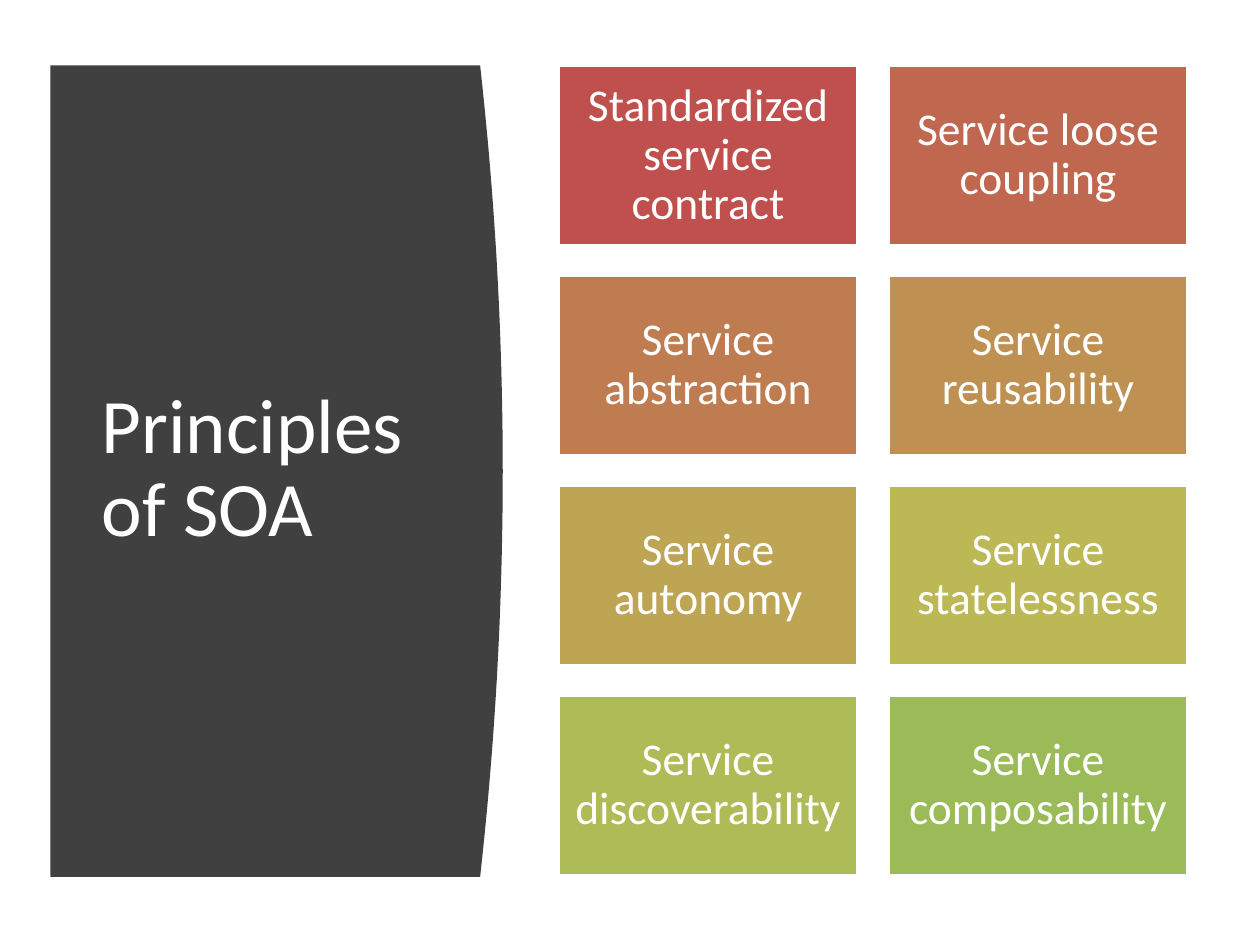
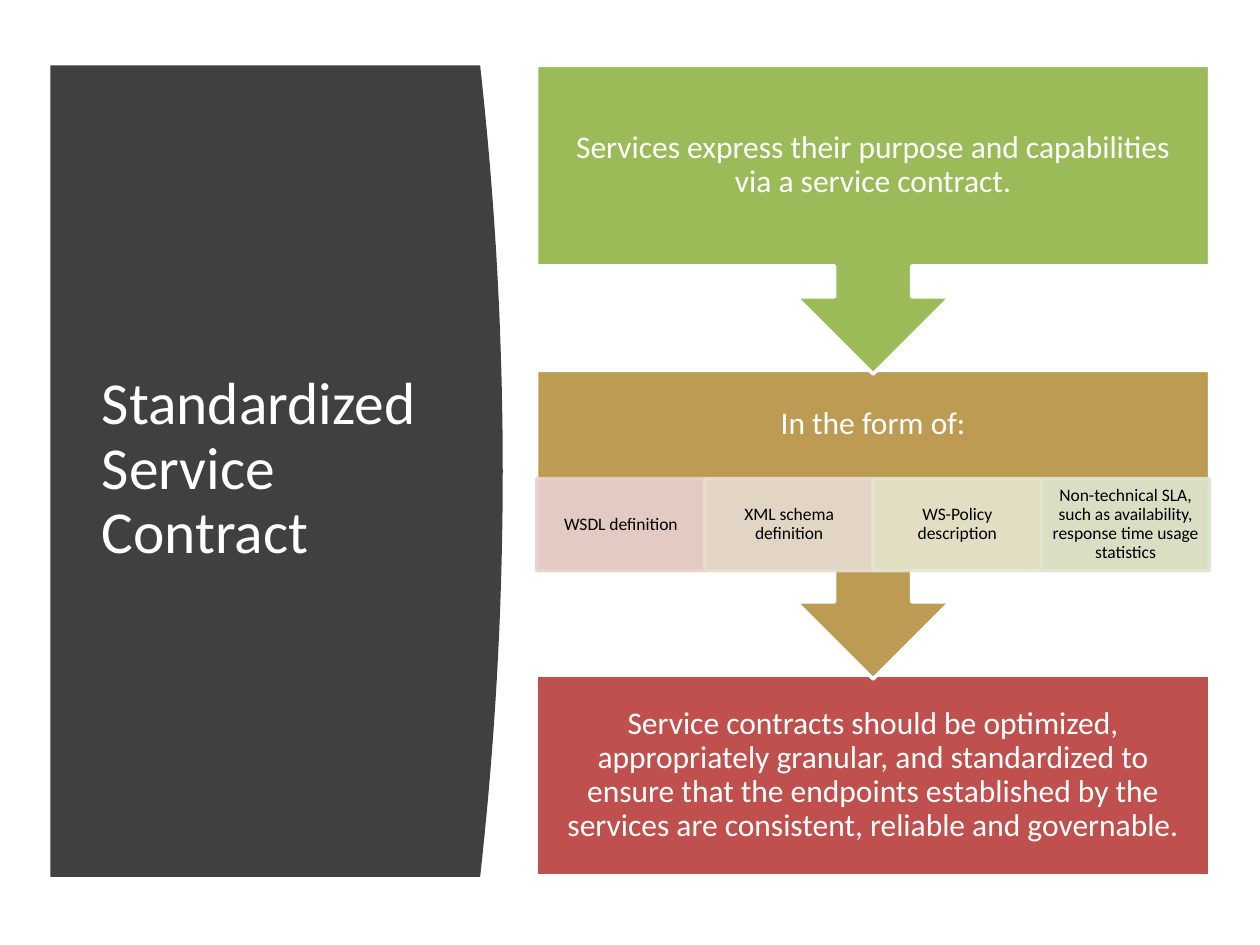
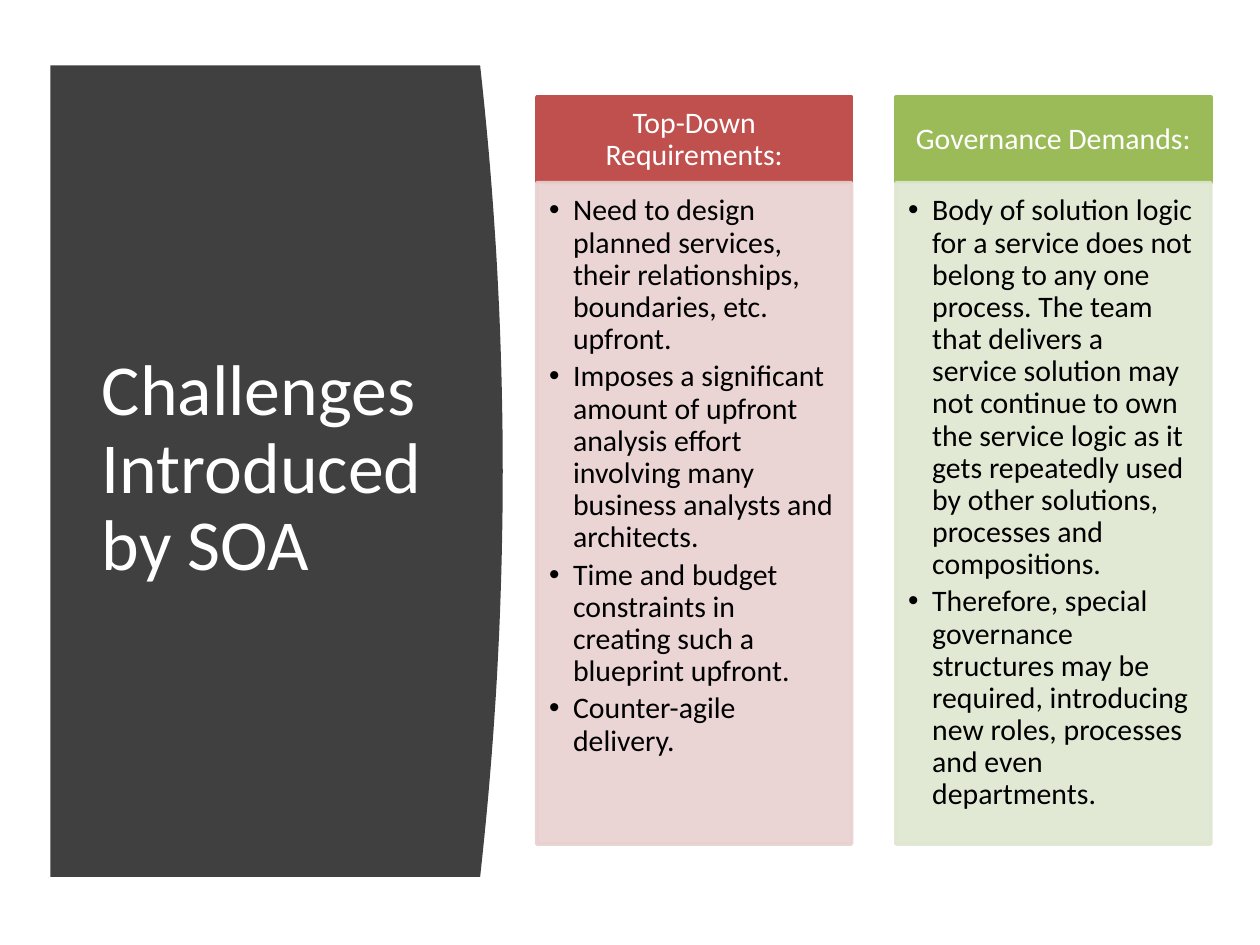
from dataclasses import dataclass

from lxml.etree import SubElement
from pptx import Presentation
from pptx.dml.color import RGBColor
from pptx.enum.shapes import MSO_SHAPE
from pptx.enum.text import MSO_ANCHOR, PP_ALIGN
from pptx.oxml.ns import qn
from pptx.util import Inches, Pt

FONT = "Calibri"
COLORS = {
    "white": "FFFFFF",
    "black": "000000",
    "panel": "404040",
    "red": "C0504D",
    "rust": "BF674F",
    "copper": "BF7C50",
    "bronze": "BE9152",
    "gold": "BD9B53",
    "sand": "BDA554",
    "olive": "BCB856",
    "lime": "AEBC57",
    "green": "9BBB59",
    "pale red": "E8D0D0",
    "pale copper": "E8DCD0",
    "pale olive": "E7E6D1",
    "pale green": "DEE7D1",
}
PALE_OPACITY = 90
PRINCIPLES = [
    ("Standardized service contract", "red"),
    ("Service loose coupling", "rust"),
    ("Service abstraction", "copper"),
    ("Service reusability", "bronze"),
    ("Service autonomy", "sand"),
    ("Service statelessness", "olive"),
    ("Service discoverability", "lime"),
    ("Service composability", "green"),
]
CONTRACT_FORMS = [
    ("WSDL definition", "pale red"),
    ("XML schema definition", "pale copper"),
    ("WS-Policy description", "pale olive"),
    ("Non-technical SLA, such as availability, response time usage statistics", "pale green"),
]
CHALLENGES = [
    ("Top-Down Requirements:", "red", "pale red", [
        "Need to design planned services, their relationships, boundaries, etc. upfront.",
        "Imposes a significant amount of upfront analysis effort involving many business "
        "analysts and architects.",
        "Time and budget constraints in creating such a blueprint upfront.",
        "Counter-agile delivery.",
    ]),
    ("Governance Demands:", "green", "pale green", [
        "Body of solution logic for a service does not belong to any one process. The team "
        "that delivers a service solution may not continue to own the service logic as it "
        "gets repeatedly used by other solutions, processes and compositions.",
        "Therefore, special governance structures may be required, introducing new roles, "
        "processes and even departments.",
    ]),
]


@dataclass
class Box:
    left: float
    top: float
    width: float
    height: float

    def region(self, left, top, width, height):
        return Box(self.left + self.width * left / 100, self.top + self.height * top / 100,
                   self.width * width / 100, self.height * height / 100)

    def cells(self, columns, rows, gap_share=0):
        width = self.width / (columns + gap_share * (columns - 1))
        gap = width * gap_share
        height = (self.height - gap * (rows - 1)) / rows
        return [Box(self.left + column * (width + gap), self.top + row * (height + gap), width, height)
                for row in range(rows) for column in range(columns)]

    def emu(self):
        return [Inches(side) for side in (self.left, self.top, self.width, self.height)]


PAGE = Box(0, 0, 10, 7.5)
PANEL = PAGE.region(4, 6.93, 35.9, 85.87)
TITLE = PAGE.region(7.1, 14.8, 28, 69.87)
CONTENT = PAGE.region(42.6, 6.93, 53.4, 85.73)


def rgb(color):
    return RGBColor.from_string(COLORS[color])


def write(shape, paragraphs, size, color="white", align=PP_ALIGN.CENTER,
          anchor=MSO_ANCHOR.MIDDLE, insets=(0.1, 0.05, 0.1, 0.05), bullets=False):
    frame = shape.text_frame
    frame.word_wrap = True
    frame.vertical_anchor = anchor
    frame.margin_left, frame.margin_top, frame.margin_right, frame.margin_bottom = map(Inches, insets)
    for index, text in enumerate(paragraphs):
        paragraph = frame.add_paragraph() if index else frame.paragraphs[0]
        paragraph.alignment = align
        paragraph.line_spacing = 0.9
        run = paragraph.add_run()
        run.text = text
        run.font.name = FONT
        run.font.size = Pt(size)
        run.font.color.rgb = rgb(color)
        if bullets:
            paragraph.space_after = Pt(3)
            properties = paragraph._p.get_or_add_pPr()
            properties.set("marL", str(Inches(0.19)))
            properties.set("indent", str(-Inches(0.19)))
            SubElement(properties, qn("a:buFont")).set("typeface", "Arial")
            SubElement(properties, qn("a:buChar")).set("char", "•")


def add_block(slide, box, fill, line="white", preset=MSO_SHAPE.RECTANGLE, opacity=100):
    block = slide.shapes.add_shape(preset, *box.emu())
    block.shadow.inherit = False
    block.fill.solid()
    block.fill.fore_color.rgb = rgb(fill)
    block.line.color.rgb = rgb(line)
    block.line.width = Pt(2)
    if opacity < 100:
        for color in block._element.spPr.iter(qn("a:srgbClr")):
            SubElement(color, qn("a:alpha")).set("val", str(opacity * 1000))
    return block


def add_title_panel(slide, box, title, size):
    steps = 40
    straight, bulge = box.width * 0.95, box.width * 0.05
    curve = []
    for step in range(steps + 1):
        share = step / steps
        reach = straight + bulge * (1 - (2 * share - 1) ** 2)
        curve.append((Inches(box.left + reach), Inches(box.top + box.height * share)))
    outline = slide.shapes.build_freeform(Inches(box.left), Inches(box.top))
    outline.add_line_segments(curve + [(Inches(box.left), Inches(box.top + box.height))])
    panel = outline.convert_to_shape()
    panel.shadow.inherit = False
    panel.fill.solid()
    panel.fill.fore_color.rgb = rgb("panel")
    panel.line.fill.background()
    write(slide.shapes.add_textbox(*TITLE.emu()), [title], size, align=PP_ALIGN.LEFT)


def add_principles(slide, box):
    tiles = box.region(3.18, 0, 93.63, 100).cells(2, 4, gap_share=0.1)
    for tile, (principle, color) in zip(tiles, PRINCIPLES):
        write(add_block(slide, tile, color), [principle], 26, insets=[0.11] * 4)


def add_contract_flow(slide, box):
    conclusion = add_block(slide, box.region(0, 75.27, 100, 24.73), "red")
    write(conclusion, [
        "Service contracts should be optimized, appropriately granular, and standardized to ensure "
        "that the endpoints established by the services are consistent, reliable and governable.",
    ], 18, insets=[0.14] * 4)

    strip = box.region(0, 51.01, 100, 11.35)
    forms = add_block(slide, box.region(0, 37.64, 100, 38.1), "gold", preset=MSO_SHAPE.DOWN_ARROW_CALLOUT)
    write(forms, ["In the form of:"], 18, insets=(0.14, 0.14, 0.14, 0.14 + strip.height))
    for cell, (form, color) in zip(strip.cells(4, 1), CONTRACT_FORMS):
        write(add_block(slide, cell, color, line=color, opacity=PALE_OPACITY), [form], 10,
              color="black", insets=(0.08, 0.01, 0.08, 0.01))

    purpose = add_block(slide, box.region(0, 0, 100, 38.1), "green", preset=MSO_SHAPE.DOWN_ARROW_CALLOUT)
    write(purpose, ["Services express their purpose and capabilities via a service contract."], 18,
          insets=[0.14] * 4)


def add_challenges(slide, box):
    columns = box.region(0, 3.89, 100.19, 92.22).cells(2, 1, gap_share=0.14)
    for column, (heading, color, pale, points) in zip(columns, CHALLENGES):
        header = add_block(slide, column.region(0, 0, 100, 11.47), color, line=color)
        write(header, [heading], 17, insets=(0.13, 0.08, 0.13, 0.08))
        body = add_block(slide, column.region(0, 11.47, 100, 88.53), pale, line=pale, opacity=PALE_OPACITY)
        write(body, points, 17, color="black", align=PP_ALIGN.LEFT, anchor=MSO_ANCHOR.TOP,
              insets=(0.1, 0.1, 0.13, 0.15), bullets=True)


def main():
    deck = Presentation()
    deck.slide_width, deck.slide_height = Inches(PAGE.width), Inches(PAGE.height)
    for title, size, add_content in [
        ("Principles of SOA", 44, add_principles),
        ("Standardized Service Contract", 34, add_contract_flow),
        ("Challenges Introduced by SOA", 41, add_challenges),
    ]:
        slide = deck.slides.add_slide(deck.slide_layouts[6])
        add_title_panel(slide, PANEL, title, size)
        add_content(slide, CONTENT)
    deck.save("out.pptx")


if __name__ == "__main__":
    main()
